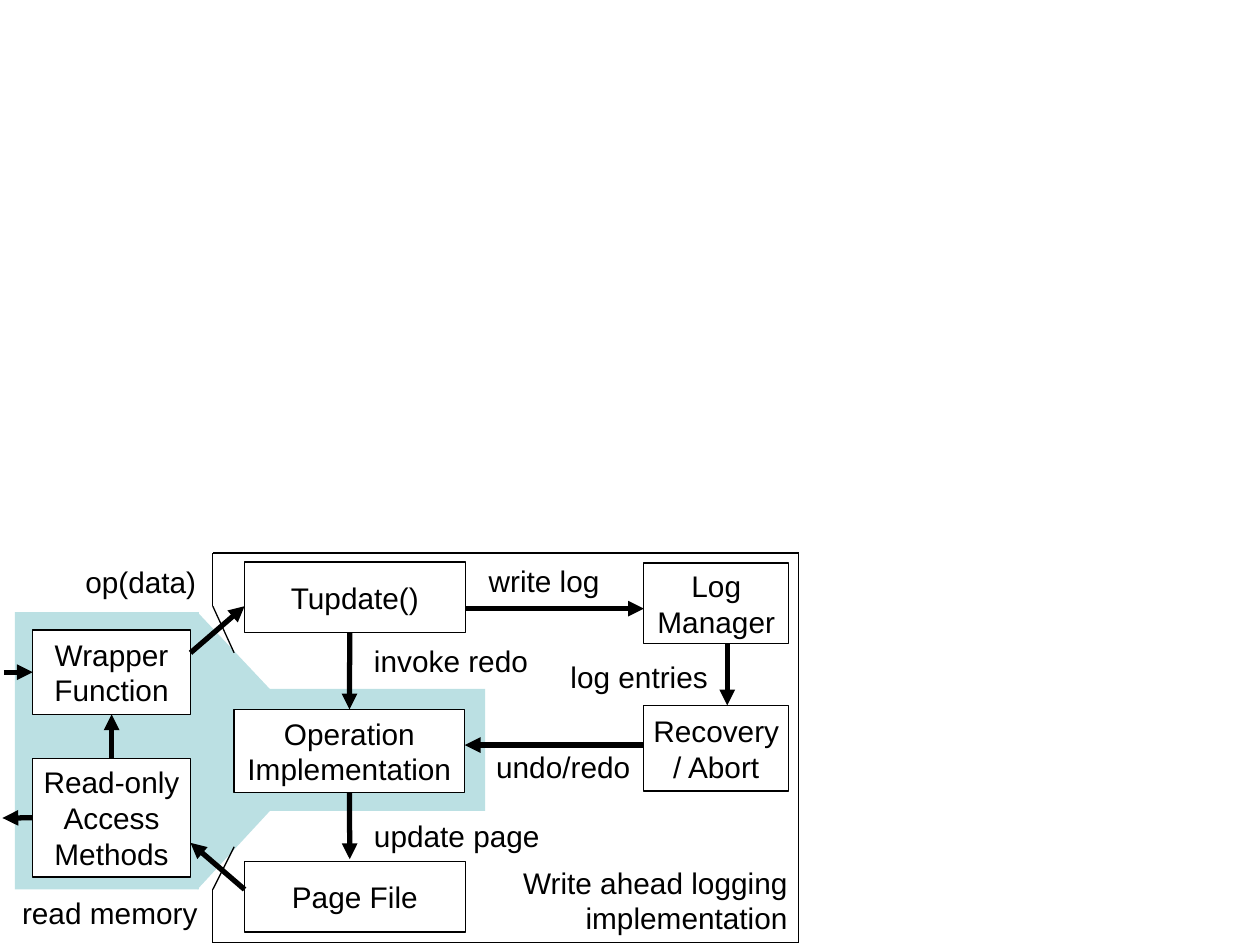
from dataclasses import dataclass
from itertools import pairwise

from lxml import etree
from pptx import Presentation
from pptx import util as u
from pptx.dml.color import RGBColor
from pptx.enum import shapes, text
from pptx.oxml import ns


@dataclass(frozen=True)
class Theme:
    """Colours, type and line widths of the slide."""
    ink: RGBColor = RGBColor(0, 0, 0)
    paper: RGBColor = RGBColor(255, 255, 255)
    teal: RGBColor = RGBColor(0xBB, 0xE0, 0xE3)
    font: str = "Arial"
    size: u.Pt = u.Pt(17)
    thin: u.Pt = u.Pt(0.75)
    thick: u.Pt = u.Pt(3)


@dataclass(frozen=True)
class Box:
    """Origin of a region, in centimetres."""
    left: float
    top: float

    def point(self, x, y):
        """Return the slide position of a point in the region."""
        return u.Cm(self.left + x), u.Cm(self.top + y)


THEME = Theme()
LEFT, CENTER, RIGHT = text.PP_ALIGN.LEFT, text.PP_ALIGN.CENTER, text.PP_ALIGN.RIGHT
TOP_SIDE, LEFT_SIDE, BOTTOM_SIDE, RIGHT_SIDE = range(4)

BLOCKS = {
    "Tupdate()": (4.93, 0.18, 4.45, 1.42),
    "Log Manager": (12.98, 0.2, 2.92, 1.63),
    "Recovery / Abort": (12.98, 3.07, 2.92, 1.73),
    "Wrapper Function": (0.66, 1.55, 3.18, 1.7),
    "Read-only Access Methods": (0.66, 4.14, 3.18, 2.39),
    "Operation Implementation": (4.72, 3.15, 4.65, 1.68),
    "Page File": (4.93, 6.22, 4.45, 1.42),
}
ARROWS = [
    ((0.08, 2.4), ("Wrapper Function", LEFT_SIDE)),
    (("Read-only Access Methods", LEFT_SIDE), (0.05, 5.34)),
    (("Read-only Access Methods", TOP_SIDE), ("Wrapper Function", BOTTOM_SIDE)),
    ((3.84, 2.01), (4.93, 1.07)),
    ((4.93, 6.78), (3.84, 5.84)),
    ((7.05, 1.6), ("Operation Implementation", TOP_SIDE)),
    (("Operation Implementation", BOTTOM_SIDE), (7.05, 6.17)),
    ((9.38, 1.12), (12.98, 1.12)),
    ((14.66, 1.83), (14.66, 3.07)),
    ((12.98, 3.87), (9.37, 3.87)),
]
LABELS = [
    ("op(data)", (1.47, 0.1, 2.74, 0.99), LEFT, False),
    ("write log", (9.6, 0.08, 2.74, 0.99), LEFT, False),
    ("invoke redo", (7.29, 1.68, 3.8, 0.99), LEFT, False),
    ("log entries", (11.25, 2.01, 3.28, 0.99), LEFT, False),
    ("undo/redo", (9.55, 3.81, 3.61, 0.99), CENTER, False),
    ("update page", (7.29, 5.21, 4.2, 0.99), LEFT, False),
    ("read memory", (0.08, 6.76, 4.27, 0.99), CENTER, False),
    ("Write ahead logging implementation", (9.96, 6.15, 6.17, 1.7), RIGHT, True),
]
FRAME = [(4.72, 2.01), (4.29, 1.07), (4.29, 0), (16.1, 0),
         (16.1, 7.85), (4.29, 7.85), (4.29, 6.78), (4.72, 5.92)]
ZONES = [(0.3, 1.19, 3.71, 5.59), (5.23, 2.74, 4.55, 2.46)]
FUNNEL = [(3.98, 1.19), (5.44, 2.74), (5.44, 5.2), (3.98, 6.78)]


def apply_format(target, values):
    """Set each named attribute of the target."""
    for name, value in values.items():
        setattr(target, name, value)


def place(box, area):
    """Return slide left, top, width and height of an area in the box."""
    x, y, width, height = area
    return *box.point(x, y), u.Cm(width), u.Cm(height)


def paint(shape, color):
    """Give a shape a plain fill without line or shadow."""
    shape.shadow.inherit = False
    shape.fill.solid()
    shape.fill.fore_color.rgb = color
    shape.line.fill.background()


def write(shape, words, align, frame_format):
    """Write one paragraph in the slide's type."""
    apply_format(shape.text_frame, frame_format)
    para = shape.text_frame.paragraphs[0]
    para.alignment = align
    span = para.add_run()
    span.text = words
    apply_format(span.font, {"name": THEME.font, "size": THEME.size})
    span.font.color.rgb = THEME.ink


def add_line(page, start, end, width):
    """Add a straight line without shadow."""
    line = page.shapes.add_connector(shapes.MSO_CONNECTOR.STRAIGHT, *start, *end)
    line.line.color.rgb = THEME.ink
    line.line.width = width
    etree.SubElement(line._element.spPr, ns.qn("a:effectLst"))
    return line


def add_operation_zone(page, box):
    """Add the teal zone behind the operation's own code."""
    for area in ZONES:
        paint(page.shapes.add_shape(shapes.MSO_SHAPE.RECTANGLE, *place(box, area)), THEME.teal)
    first, *others = [box.point(*corner) for corner in FUNNEL]
    builder = page.shapes.build_freeform(*first, scale=1.0)
    builder.add_line_segments(others, close=True)
    paint(builder.convert_to_shape(), THEME.teal)


def add_logging_frame(page, box):
    """Add the open outline around the logging implementation."""
    for start, end in pairwise(FRAME):
        add_line(page, box.point(*start), box.point(*end), THEME.thin)


def add_blocks(page, box):
    """Add the component blocks and return them by name."""
    margins = {f"margin_{side}": u.Cm(0.13) for side in ("left", "top", "right", "bottom")}
    frame_format = {"word_wrap": True, "vertical_anchor": text.MSO_ANCHOR.MIDDLE, **margins}
    blocks = {}
    for name, area in BLOCKS.items():
        block = page.shapes.add_shape(shapes.MSO_SHAPE.RECTANGLE, *place(box, area))
        paint(block, THEME.paper)
        block.line.color.rgb = THEME.ink
        block.line.width = THEME.thin
        write(block, name, CENTER, frame_format)
        blocks[name] = block
    return blocks


def add_arrows(page, box, blocks):
    """Add the flow arrows, joined to blocks where an end names one."""
    for ends in ARROWS:
        joined = [end[0] in blocks for end in ends]
        points = [box.point(0, 0) if join else box.point(*end)
                  for end, join in zip(ends, joined)]
        arrow = add_line(page, *points, THEME.thick)
        for end, join, connect in zip(ends, joined, (arrow.begin_connect, arrow.end_connect)):
            if join:
                connect(blocks[end[0]], end[1])
        etree.SubElement(arrow.line._get_or_add_ln(), ns.qn("a:tailEnd"), type="triangle")


def add_labels(page, box):
    """Add the captions beside the arrows and regions."""
    for words, area, align, wrap in LABELS:
        label = page.shapes.add_textbox(*place(box, area))
        write(label, words, align, {"word_wrap": wrap})


def main():
    """Build and save the slide."""
    deck = Presentation()
    apply_format(deck, {"slide_width": u.Cm(25.4), "slide_height": u.Cm(19.05)})
    page = deck.slides.add_slide(deck.slide_layouts[6])
    diagram = Box(0, 11.15)
    add_operation_zone(page, diagram)
    add_logging_frame(page, diagram)
    blocks = add_blocks(page, diagram)
    add_arrows(page, diagram, blocks)
    add_labels(page, diagram)
    deck.save("out.pptx")


if __name__ == "__main__":
    main()
